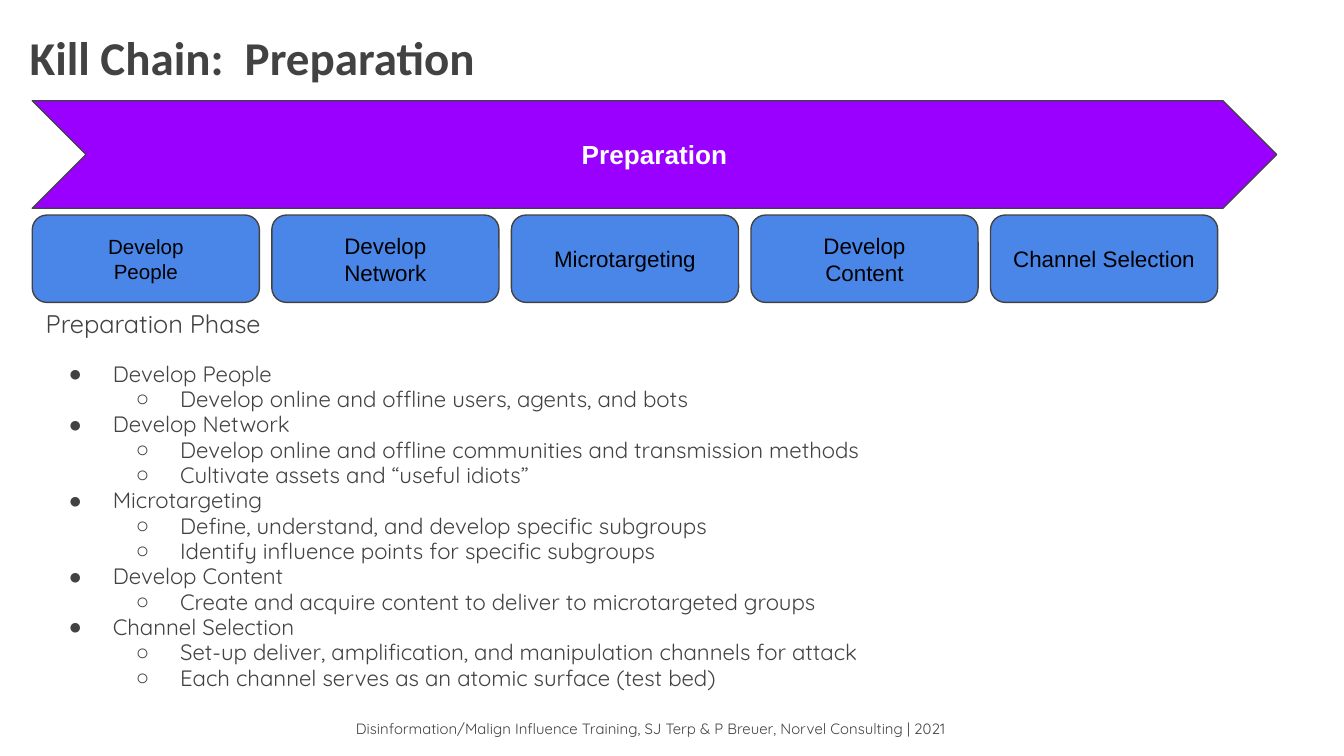
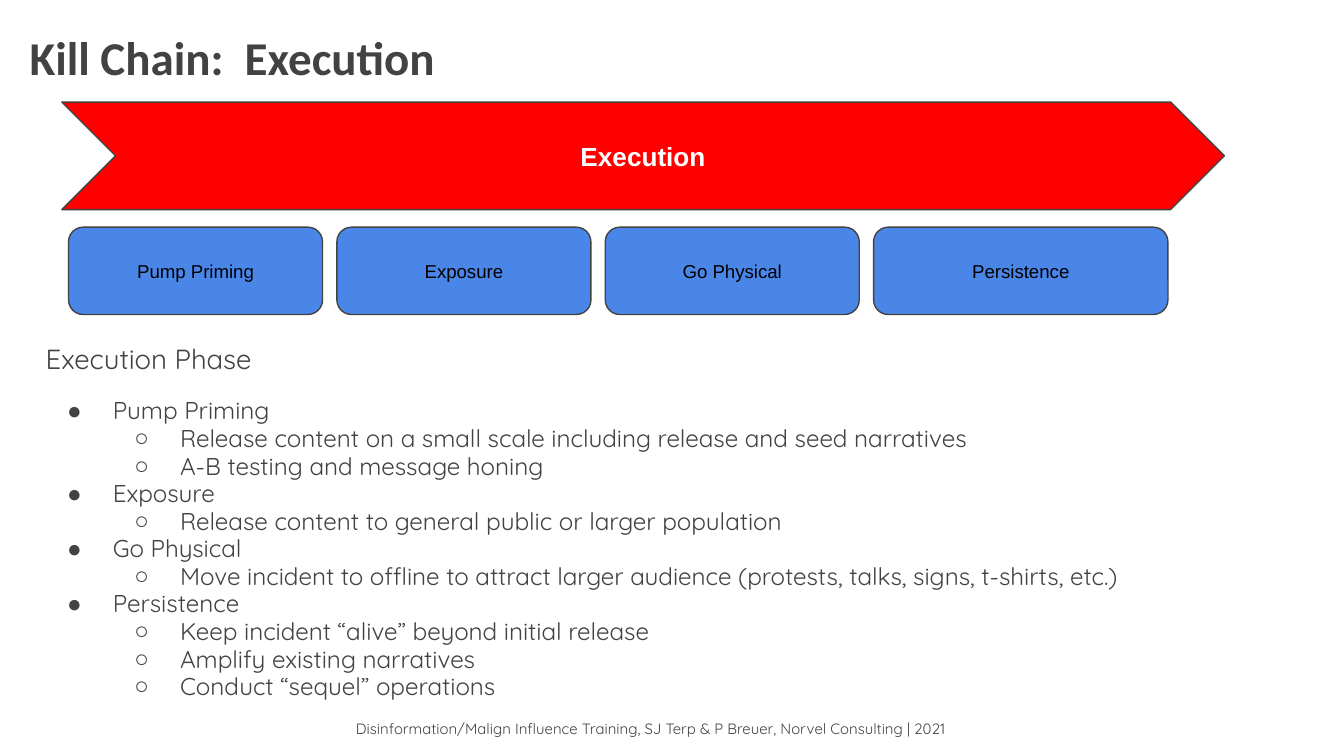
from copy import deepcopy
from dataclasses import dataclass

from lxml.etree import SubElement
from pptx import Presentation
from pptx.dml.color import RGBColor
from pptx.enum.shapes import MSO_SHAPE
from pptx.enum.text import MSO_ANCHOR, MSO_AUTO_SIZE, PP_ALIGN
from pptx.oxml.ns import qn
from pptx.util import Inches, Pt


@dataclass(frozen=True)
class Theme:
    ink: str = "424242"
    step: str = "4A86E8"
    step_text: str = "000000"
    white: str = "FFFFFF"
    preparation: str = "9900FF"
    execution: str = "FF0000"
    title_font: str = "Calibri"
    body_font: str = "Quicksand"
    diagram_font: str = "Arial"
    title_size: float = 25.2
    banner_size: float = 14
    footer_size: float = 8
    outline: float = 0.75


@dataclass(frozen=True)
class Box:
    left: float
    top: float
    width: float
    height: float


@dataclass(frozen=True)
class Step:
    label: str
    details: tuple[str, ...]
    width: float
    size: float


@dataclass(frozen=True)
class Phase:
    name: str
    color: str
    banner: Box
    steps_area: Box
    steps: tuple[Step, ...]
    outline: Box
    heading_size: float
    list_size: float
    hanging: float


THEME = Theme()
TITLE = Box(0.12, 0.11, 8.99, 0.65)
FOOTER = Box(1.72, 5.29, 6.25, 0.34)
FOOTER_TEXT = "Disinformation/Malign Influence Training, SJ Terp & P Breuer, Norvel Consulting | 2021"
BULLETS = ("●", "○")

PHASES = (
    Phase(
        "Preparation", THEME.preparation,
        Box(0.24, 0.75, 9.26, 0.8), Box(0.24, 1.6, 8.82, 0.65),
        (
            Step("Develop\nPeople",
                 ("Develop online and offline users, agents, and bots",), 1.69, 11),
            Step("Develop\nNetwork",
                 ("Develop online and offline communities and transmission methods",
                  "Cultivate assets and “useful idiots”"), 1.69, 12),
            Step("Microtargeting",
                 ("Define, understand, and develop specific subgroups",
                  "Identify influence points for specific subgroups"), 1.69, 12),
            Step("Develop\nContent",
                 ("Create and acquire content to deliver to microtargeted groups",), 1.69, 12),
            Step("Channel Selection",
                 ("Set-up deliver, amplification, and manipulation channels for attack",
                  "Each channel serves as an atomic surface (test bed)"), 1.69, 12),
        ),
        Box(0.24, 2.21, 8.87, 3.06), 13.6, 11.9, 0.33,
    ),
    Phase(
        "Execution", THEME.execution,
        Box(0.46, 0.76, 8.65, 0.8), Box(0.51, 1.69, 8.18, 0.65),
        (
            Step("Pump Priming",
                 ("Release content on a small scale including release and seed narratives",
                  "A-B testing and message honing"), 1.89, 10),
            Step("Exposure",
                 ("Release content to general public or larger population",), 1.89, 10),
            Step("Go Physical",
                 ("Move incident to offline to attract larger audience "
                  "(protests, talks, signs, t-shirts, etc.)",), 1.89, 10),
            Step("Persistence",
                 ("Keep incident “alive” beyond initial release",
                  "Amplify existing narratives",
                  "Conduct “sequel” operations"), 2.19, 10),
        ),
        Box(0.24, 2.46, 8.87, 2.89), 14.8, 12.95, 0.34,
    ),
)


def place(shape, box: Box) -> None:
    shape.left, shape.top = Inches(box.left), Inches(box.top)
    shape.width, shape.height = Inches(box.width), Inches(box.height)


def prepare_frame(frame, anchor=MSO_ANCHOR.TOP, fit=MSO_AUTO_SIZE.NONE) -> None:
    frame.word_wrap = True
    frame.auto_size = fit
    frame.vertical_anchor = anchor
    frame.margin_left = frame.margin_right = Inches(0.1)
    frame.margin_top = frame.margin_bottom = Inches(0.1)


def write(paragraph, text: str, *, font: str, size: float, color: str = THEME.ink,
          bold: bool = False, align=PP_ALIGN.LEFT, spacing: float = 1,
          before: float = 0) -> None:
    paragraph.text = text
    paragraph.alignment = align
    paragraph.line_spacing = spacing
    paragraph.space_before = Pt(before)
    paragraph.space_after = Pt(0)
    for run in paragraph.runs:
        run.font.name = font
        run.font.size = Pt(size)
        run.font.bold = bold
        run.font.color.rgb = RGBColor.from_string(color)
    for line_break in paragraph._p.findall(qn("a:br")):
        line_break.insert(0, deepcopy(paragraph.runs[0]._r.rPr))


def set_bullet(paragraph, level: int | None, hanging: float = 0) -> None:
    properties = paragraph._p.get_or_add_pPr()
    if level is None:
        properties.set("marL", "0")
        properties.set("indent", "0")
        SubElement(properties, qn("a:buNone"))
        return
    paragraph.level = level
    properties.set("marL", str(Inches(0.5 * (level + 1))))
    properties.set("indent", str(-Inches(hanging)))
    bullet_color = SubElement(properties, qn("a:buClr"))
    SubElement(bullet_color, qn("a:srgbClr"), val=THEME.ink)
    SubElement(properties, qn("a:buFont"), typeface=THEME.diagram_font)
    SubElement(properties, qn("a:buChar"), char=BULLETS[level])


def add_block(slide, preset, box: Box, fill: str, text: str, **text_format) -> None:
    block = slide.shapes.add_shape(preset, 0, 0, 0, 0)
    place(block, box)
    block.shadow.inherit = False
    block.fill.solid()
    block.fill.fore_color.rgb = RGBColor.from_string(fill)
    block.line.color.rgb = RGBColor.from_string(THEME.ink)
    block.line.width = Pt(THEME.outline)
    prepare_frame(block.text_frame, MSO_ANCHOR.MIDDLE)
    write(block.text_frame.paragraphs[0], text, font=THEME.diagram_font,
          align=PP_ALIGN.CENTER, **text_format)


def add_steps(slide, phase: Phase) -> None:
    area = phase.steps_area
    gap = (area.width - sum(step.width for step in phase.steps)) / (len(phase.steps) - 1)
    left = area.left
    for step in phase.steps:
        add_block(slide, MSO_SHAPE.ROUNDED_RECTANGLE,
                  Box(left, area.top, step.width, area.height), THEME.step,
                  step.label, size=step.size, color=THEME.step_text)
        left += step.width + gap


def fill_outline(body, phase: Phase) -> None:
    place(body, phase.outline)
    frame = body.text_frame
    prepare_frame(frame)
    heading = frame.paragraphs[0]
    set_bullet(heading, None)
    write(heading, f"{phase.name} Phase", font=THEME.body_font,
          size=phase.heading_size, spacing=0.95)
    entries = [
        (level, text)
        for step in phase.steps
        for level, text in [(0, step.label.replace("\n", " ")),
                            *((1, detail) for detail in step.details)]
    ]
    for position, (level, text) in enumerate(entries):
        entry = frame.add_paragraph()
        set_bullet(entry, level, phase.hanging)
        write(entry, text, font=THEME.body_font, size=phase.list_size,
              spacing=0.95, before=0 if position else 12)


def add_phase_slide(deck, layout, phase: Phase):
    slide = deck.slides.add_slide(layout)
    title = slide.shapes.title
    place(title, TITLE)
    prepare_frame(title.text_frame)
    write(title.text_frame.paragraphs[0], f"Kill Chain:  {phase.name}",
          font=THEME.title_font, size=THEME.title_size, bold=True)
    fill_outline(slide.placeholders[1], phase)
    add_block(slide, MSO_SHAPE.CHEVRON, phase.banner, phase.color, phase.name,
              size=THEME.banner_size, color=THEME.white, bold=True)
    add_steps(slide, phase)
    return slide


def move_footer_to_layout(slide, layout) -> None:
    footer = slide.shapes.add_textbox(0, 0, 0, 0)
    place(footer, FOOTER)
    prepare_frame(footer.text_frame, fit=MSO_AUTO_SIZE.SHAPE_TO_FIT_TEXT)
    write(footer.text_frame.paragraphs[0], FOOTER_TEXT, font=THEME.body_font,
          size=THEME.footer_size, align=PP_ALIGN.CENTER)
    layout.shapes._spTree.append(footer._element)


def main() -> None:
    deck = Presentation()
    deck.slide_width = Inches(10)
    deck.slide_height = deck.slide_width * 9 // 16
    layout = deck.slide_layouts[1]
    slides = [add_phase_slide(deck, layout, phase) for phase in PHASES]
    move_footer_to_layout(slides[0], layout)
    deck.save("out.pptx")


if __name__ == "__main__":
    main()
